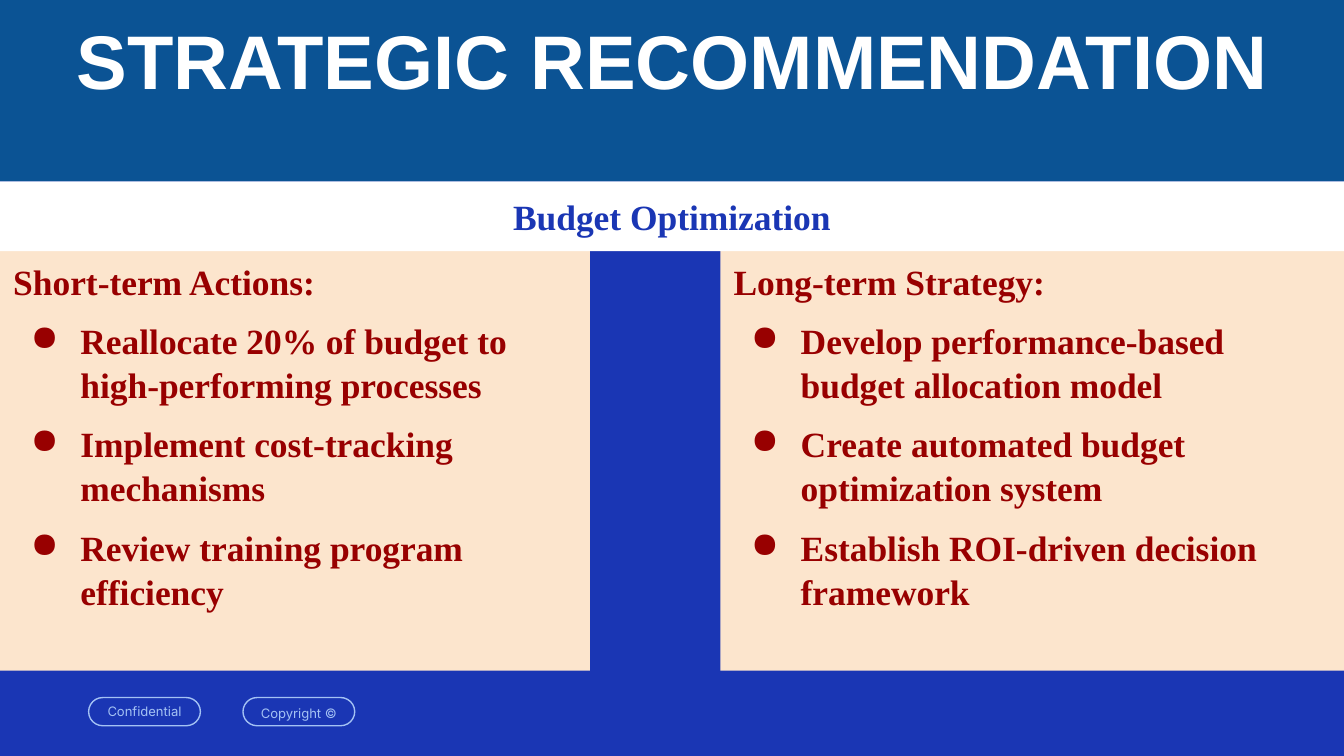
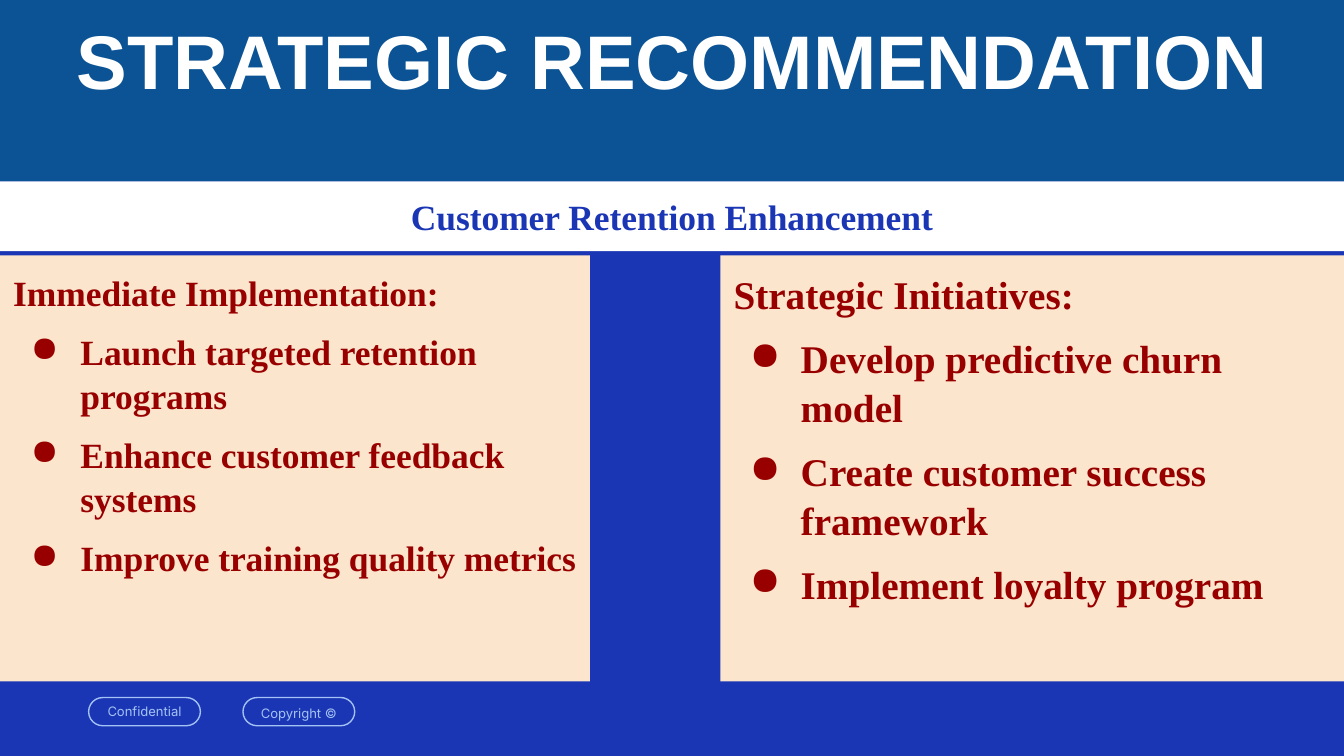
from lxml.etree import SubElement as Sub
from pptx import Presentation
from pptx.dml.color import RGBColor
from pptx.enum.shapes import MSO_SHAPE as Form
from pptx.enum.text import MSO_ANCHOR as Anchor, PP_ALIGN as Align
from pptx.oxml.ns import qn
from pptx.util import Inches, Pt

WIDE, HIGH = Inches(10), Inches(5.625)
COL, ROW = WIDE / 100, HIGH / 100
BLUE, NAVY, SAND = "1A36B4", "0B5394", "FCE5CD"
RED, PALE, WHITE = "980000", "A4C2F4", "FFFFFF"
SERIF = "Times New Roman"

TITLE_BOX = (0, 0, 100, 24)
BAND_BOX = (0, 24, 100, 9.24)
FOOT_BOX = (6.6, 92.27, 19.8, 3.73)
LEFT, RIGHT = (0, 43.9), (53.6, 46.4)
PANEL_HIGH = 56.36

SLIDES = [
    ("Budget Optimization", 32.36, [
        (LEFT, 19, 3.7, "Short-term Actions:", [
            "Reallocate 20% of budget to high-performing processes",
            "Implement cost-tracking mechanisms",
            "Review training program efficiency"]),
        (RIGHT, 19, 3.7, "Long-term Strategy:", [
            "Develop performance-based budget allocation model",
            "Create automated budget optimization system",
            "Establish ROI-driven decision framework"]),
    ]),
    ("Customer Retention Enhancement", 33.8, [
        (LEFT, 19, 3.7, "Immediate Implementation:", [
            "Launch targeted retention programs",
            "Enhance customer feedback systems",
            "Improve training quality metrics"]),
        (RIGHT, 21, 3.8, "Strategic Initiatives:", [
            "Develop predictive churn model",
            "Create customer success framework",
            "Implement loyalty program"]),
    ]),
]


def color(code):
    return RGBColor.from_string(code)


def block(slide, box, fill=None, line=None, form=Form.RECTANGLE):
    x, y, w, h = box
    shape = slide.shapes.add_shape(
        form, round(x * COL), round(y * ROW), round(w * COL), round(h * ROW))
    shape.shadow.inherit = False
    if fill:
        shape.fill.solid()
        shape.fill.fore_color.rgb = color(fill)
    else:
        shape.fill.background()
    if line:
        shape.line.color.rgb = color(line)
        shape.line.width = Pt(0.75)
    else:
        shape.line.fill.background()
    frame = shape.text_frame
    frame.word_wrap = True
    frame.vertical_anchor = Anchor.TOP
    frame.margin_left = frame.margin_right = Inches(0.1)
    frame.margin_top = frame.margin_bottom = Inches(0.1)
    return shape


def style(para, face, size, ink, bold=True, align=Align.CENTER):
    para.alignment = align
    for run in para.runs:
        font = run.font
        font.name, font.size, font.bold = face, Pt(size), bold
        font.color.rgb = color(ink)


def bullet(para, hang):
    props = para._p.get_or_add_pPr()
    props.set("marL", str(round(5 * COL)))
    props.set("indent", str(round(-hang * COL)))
    tint = Sub(props, qn("a:buClr"))
    Sub(tint, qn("a:srgbClr"), val=RED)
    Sub(props, qn("a:buChar"), char="●")


def banner(slide, box, text, fill, face, size, ink):
    frame = block(slide, box, fill).text_frame
    frame.text = text
    style(frame.paragraphs[0], face, size, ink)


def panel(slide, box, size, hang, head, items):
    frame = block(slide, box, SAND).text_frame
    frame.text = "\n".join([head, *items])
    for rank, para in enumerate(frame.paragraphs):
        if rank:
            bullet(para, hang)
            para.space_before = Pt(8)
        para.line_spacing = 1.04
        style(para, SERIF, size, RED, align=Align.LEFT)


def footer(slide, box):
    x, y, w, h = box
    wide = w * 0.42
    for left, text in ((x, "Confidential"), (x + w - wide, "Copyright ©")):
        pill = block(slide, (left, y, wide, h), line=PALE,
                     form=Form.ROUNDED_RECTANGLE)
        pill.adjustments[0] = 0.5
        frame = pill.text_frame
        frame.vertical_anchor = Anchor.MIDDLE
        frame.text = text
        style(frame.paragraphs[0], "Inter", 7, PALE, bold=False)
    frame.paragraphs[0].line_spacing = 1.15


def advice(deck, topic, top, panels):
    slide = deck.slides.add_slide(deck.slide_layouts[6])
    back = slide.background.fill
    back.solid()
    back.fore_color.rgb = color(BLUE)
    footer(slide, FOOT_BOX)
    banner(slide, TITLE_BOX, "STRATEGIC RECOMMENDATION",
           NAVY, "Arial", 40.7, WHITE)
    for (left, wide), *rest in panels:
        panel(slide, (left, top, wide, PANEL_HIGH), *rest)
    banner(slide, BAND_BOX, topic, WHITE, SERIF, 19, BLUE)


def main():
    deck = Presentation()
    deck.slide_width, deck.slide_height = WIDE, HIGH
    for page in SLIDES:
        advice(deck, *page)
    deck.save("out.pptx")


if __name__ == "__main__":
    main()
